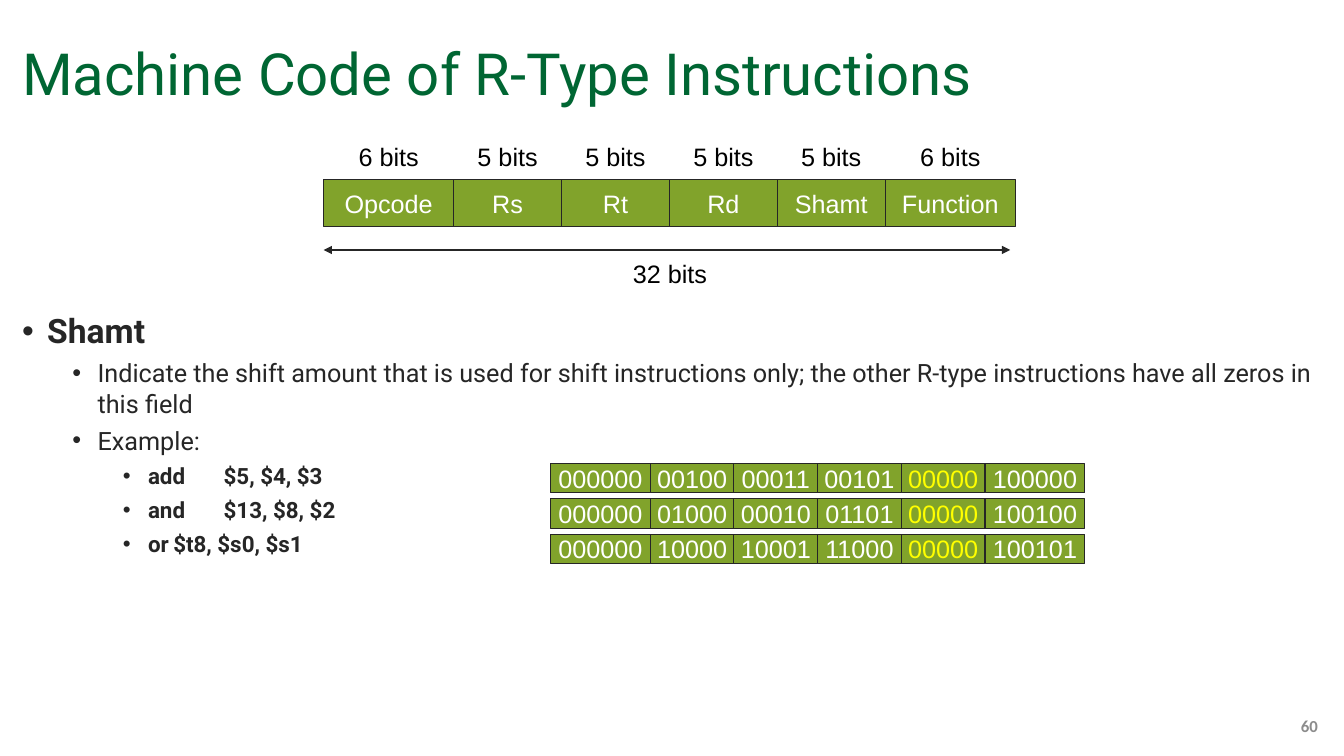
from lxml import etree
from pptx import Presentation
from pptx.dml.color import RGBColor
from pptx.enum.shapes import MSO_CONNECTOR, MSO_SHAPE
from pptx.enum.text import MSO_ANCHOR as Anchor, PP_ALIGN as Align
from pptx.oxml.ns import qn
from pptx.util import Inches, Pt

TITLE_GREEN = RGBColor(0x00, 0x66, 0x33)
FIELD_GREEN = RGBColor(0x81, 0xA3, 0x2B)
DARK = RGBColor(0x26, 0x26, 0x26)
GREY = RGBColor(0x8C, 0x8C, 0x8C)
BLACK = RGBColor(0x00, 0x00, 0x00)
WHITE = RGBColor(0xFF, 0xFF, 0xFF)
YELLOW = RGBColor(0xFF, 0xFF, 0x00)

prs = Presentation()
prs.slide_width, prs.slide_height = Inches(13.33), Inches(7.5)
slide = prs.slides.add_slide(prs.slide_layouts[6])


def add_text(paragraph, text, size, color, font="Arial", bold=False):
    run = paragraph.add_run()
    run.text = text
    run.font.name, run.font.size, run.font.bold = font, Pt(size), bold
    run.font.color.rgb = color


def add_label(left, top, width, height, text, color, boxed=False):
    """Centred 18 pt label, with a green box behind it when boxed."""
    area = [Inches(n) for n in (left, top, width, height)]
    if boxed:
        label = slide.shapes.add_shape(MSO_SHAPE.RECTANGLE, *area)
        label.shadow.inherit = False
        label.fill.solid()
        label.fill.fore_color.rgb = FIELD_GREEN
        label.line.color.rgb = DARK
        label.line.width = Pt(0.75)
    else:
        label = slide.shapes.add_textbox(*area)
    frame = label.text_frame
    frame.word_wrap = False
    frame.vertical_anchor = Anchor.MIDDLE
    frame.paragraphs[0].alignment = Align.CENTER
    add_text(frame.paragraphs[0], text, 18, color)


# Title
title = slide.shapes.add_textbox(Inches(0.12), Inches(0.17), Inches(13.05), Inches(0.95)).text_frame
title.word_wrap = True
title.vertical_anchor = Anchor.BOTTOM
title.paragraphs[0].line_spacing = 0.9
add_text(title.paragraphs[0], "Machine Code of R-Type Instructions", 41.5, TITLE_GREEN, "Roboto")

# Slide number
number = slide.shapes.add_textbox(Inches(10.17), Inches(7), Inches(3), Inches(0.4)).text_frame
number.word_wrap = True
number.vertical_anchor = Anchor.MIDDLE
number.paragraphs[0].alignment = Align.RIGHT
add_text(number.paragraphs[0], "60", 12, GREY, "Calibri", True)

# Explanation of the shamt field: level, size, bold, text
points = [
    (0, 24, True, "Shamt"),
    (1, 18, False, "Indicate the shift amount that is used for shift instructions only; "
                   "the other R-type instructions have all zeros in this field"),
    (1, 18, False, "Example:"),
    (2, 16, True, "add\t$5, $4, $3"),
    (2, 16, True, "and\t$13, $8, $2"),
    (2, 16, True, "or\t$t8, $s0, $s1"),
]
body = slide.shapes.add_textbox(Inches(0.12), Inches(3.03), Inches(13.05), Inches(3.87)).text_frame
body.word_wrap = True
for i, (level, size, bold, text) in enumerate(points):
    point = body.paragraphs[0] if i == 0 else body.add_paragraph()
    point.level = level
    if i:
        point.space_before = Pt(5)
    props = point._p.get_or_add_pPr()
    props.set("marL", str(Inches(0.25 + 0.5 * level)))
    props.set("indent", str(Inches(-0.25)))
    etree.SubElement(props, qn("a:buFont")).set("typeface", "Arial")
    etree.SubElement(props, qn("a:buChar")).set("char", "•")
    add_text(point, text, size, DARK, "Roboto", bold)

# Instruction format: field widths follow the bit counts
fields = [("Opcode", 6), ("Rs", 5), ("Rt", 5), ("Rd", 5), ("Shamt", 5), ("Function", 6)]
format_widths = {5: 1.07, 6: 1.29}
left = 3.21
for field, bits in fields:
    width = format_widths[bits]
    add_label(left, 1.78, width, 0.47, field, WHITE, boxed=True)
    add_label(left, 1.32, width, 0.47, f"{bits} bits", BLACK)
    left += width

# Total width arrow
add_label(6, 2.48, 1.29, 0.47, "32 bits", BLACK)
span = slide.shapes.add_connector(
    MSO_CONNECTOR.STRAIGHT, Inches(3.21), Inches(2.48), Inches(10.02), Inches(2.48))
span.line.color.rgb = DARK
span.line.width = Pt(1)
for end in ("a:headEnd", "a:tailEnd"):
    etree.SubElement(span.line._get_or_add_ln(), qn(end)).set("type", "triangle")
etree.SubElement(span._element.spPr, qn("a:effectLst"))

# Encoded examples, with the shamt field highlighted
codes = [
    "000000 00100 00011 00101 00000 100000",
    "000000 01000 00010 01101 00000 100100",
    "000000 10000 10001 11000 00000 100101",
]
code_widths = {5: 0.83, 6: 0.99}
for row, code in enumerate(codes):
    left = 5.46
    for (field, bits), value in zip(fields, code.split()):
        color = YELLOW if field == "Shamt" else WHITE
        add_label(left, 4.6 + 0.35 * row, code_widths[bits], 0.29, value, color, boxed=True)
        left += code_widths[bits]

prs.save("out.pptx")
